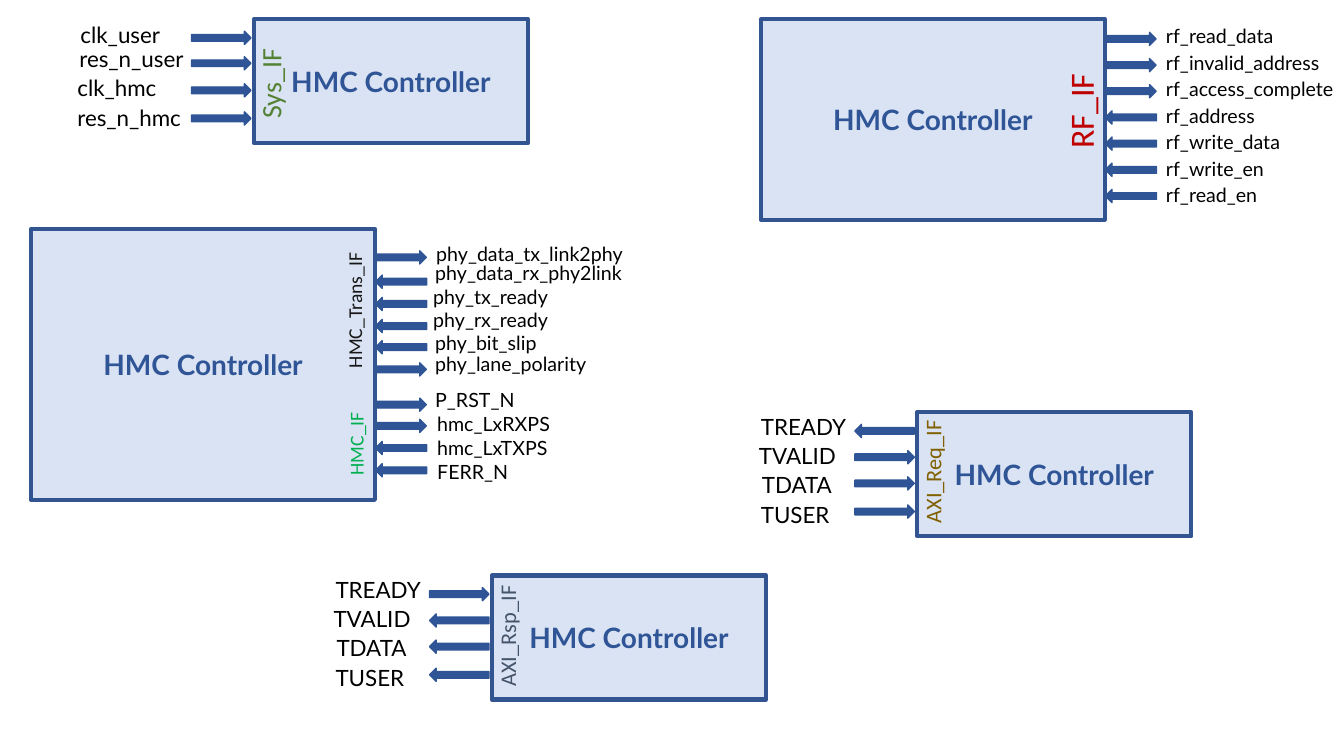
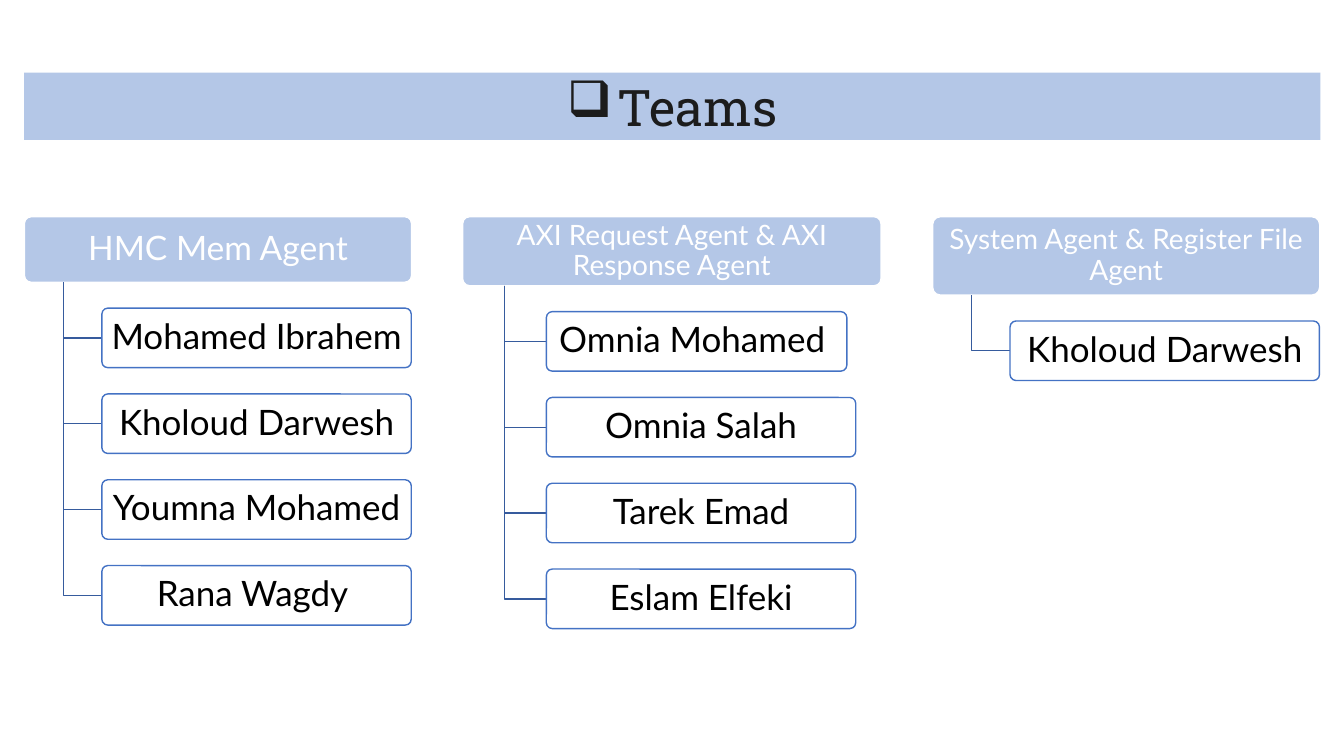
"""Build two slides: the controller interfaces and the verification teams."""
from dataclasses import dataclass
from typing import NamedTuple

import lxml.etree
import pptx
import pptx.dml.color
import pptx.enum.shapes
import pptx.enum.text
import pptx.oxml.ns
import pptx.shapes.autoshape
import pptx.slide
import pptx.text.text
import pptx.util

Pt = pptx.util.Pt
RGBColor = pptx.dml.color.RGBColor
Shapes = pptx.enum.shapes.MSO_SHAPE
Align = pptx.enum.text.PP_ALIGN
Anchor = pptx.enum.text.MSO_ANCHOR

BLACK = RGBColor(0x00, 0x00, 0x00)
WHITE = RGBColor(0xFF, 0xFF, 0xFF)
INK = RGBColor(0x1C, 0x1C, 0x1C)
DEEP_BLUE = RGBColor(0x2F, 0x55, 0x97)
BORDER_BLUE = RGBColor(0x32, 0x54, 0x91)
BRANCH_BLUE = RGBColor(0x36, 0x5B, 0x9D)
ACCENT_BLUE = RGBColor(0x44, 0x72, 0xC4)
BAND_BLUE = RGBColor(0xB4, 0xC7, 0xE7)
PALE_BLUE = RGBColor(0xDA, 0xE3, 0xF3)
GREEN = RGBColor(0x54, 0x82, 0x35)
BRIGHT_GREEN = RGBColor(0x00, 0xB0, 0x50)
RED = RGBColor(0xC0, 0x00, 0x00)
CHARCOAL = RGBColor(0x18, 0x17, 0x17)
OLIVE = RGBColor(0x80, 0x60, 0x00)
SLATE = RGBColor(0x44, 0x54, 0x6A)

BODY_FONT, INTERFACE_FONT, TITLE_FONT = "Lato", "Calibri", "Roboto Slab"
ARROW_HEIGHT = 9.4
ARROW_LENGTH = 42.5
INPUT_LENGTH = 36.5
TEAM_TOP = 154.8
MEMBER_GAP, MEMBER_PITCH = 18.5, 61.3
MEMBER_WIDTH, MEMBER_HEIGHT = 221, 42.5


class Box(NamedTuple):
    """A rectangle in points."""
    left: float
    top: float
    width: float
    height: float


class Signal(NamedTuple):
    """A signal, placed from the top of the pin edge of its block."""
    name: str
    is_output: bool
    arrow_top: float
    label_left: float
    label_top: float


class Interface(NamedTuple):
    """A rotated interface name, placed from the top of the pin edge."""
    name: str
    box: Box
    size: float
    color: RGBColor


@dataclass(frozen=True)
class Block:
    """A controller block with its pins on one side."""
    box: Box
    pins_on_right: bool
    label_size: float
    label_width: float
    interfaces: list[Interface]
    signals: list[Signal]


class Member(NamedTuple):
    """A team member and the width of the box."""
    name: str
    width: float = MEMBER_WIDTH


@dataclass(frozen=True)
class Team:
    """A team heading with its members."""
    name: str
    left: float
    width: float
    height: float
    size: float
    members: list[Member]


def axi_block(left: float, top: float, name: str, color: RGBColor, ready_is_output: bool) -> Block:
    """Describe an AXI stream block; TREADY runs against the other signals."""
    other = not ready_is_output
    return Block(
        Box(left, top, 195.8, 88.6), False, 16, 90,
        [Interface(name, Box(-41.8, 20.2, 105.8, 26.6), 16, color)],
        [Signal("TREADY", ready_is_output, 8.6, -118.8, -2.9),
         Signal("TVALID", other, 27.4, -120.2, 17.6),
         Signal("TDATA", other, 46.1, -118.1, 38.2),
         Signal("TUSER", other, 66.2, -118.8, 59.8)])


RF_SIGNALS = [("rf_read_data", True), ("rf_invalid_address", True),
              ("rf_access_complete", True), ("rf_address", False),
              ("rf_write_data", False), ("rf_write_en", False), ("rf_read_en", False)]

BLOCKS = [
    Block(Box(543.6, 13.7, 245.5, 143.3), True, 14, 130,
          [Interface("RF_IF", Box(-56.2, 41.8, 78.5, 37.4), 24.3, RED)],
          [Signal(name, is_output, 9.4 + 18.7 * row, 36.7, 18.9 * row)
           for row, (name, is_output) in enumerate(RF_SIGNALS)]),
    Block(Box(181.4, 13.7, 195.8, 88.6), False, 16, 90,
          [Interface("Sys_IF", Box(-27.4, 23, 78.5, 31.7), 20, GREEN)],
          [Signal("clk_user", False, 8.6, -131, -2.2),
           Signal("res_n_user", False, 26.8, -131.8, 15.1),
           Signal("clk_hmc", False, 46.1, -133.2, 36),
           Signal("res_n_hmc", False, 66.2, -133.2, 56.9)]),
    Block(Box(22.3, 163.4, 245.5, 193.7), True, 14, 150,
          [Interface("HMC_IF", Box(-48.2, 136.1, 69.8, 24.5), 14, BRIGHT_GREEN),
           Interface("HMC_Trans_IF", Box(-87.8, 20.9, 146.9, 24.5), 14, CHARCOAL)],
          [Signal("phy_data_tx_link2phy", True, 15.8, 36.7, 5.8),
           Signal("phy_data_rx_phy2link", False, 33.1, 36, 19.4),
           Signal("phy_tx_ready", False, 49, 34.6, 36.7),
           Signal("phy_rx_ready", False, 64.8, 34.6, 53.3),
           Signal("phy_bit_slip", False, 79.9, 36, 69.1),
           Signal("phy_lane_polarity", True, 95.8, 36, 84.2),
           Signal("P_RST_N", True, 121, 36, 110.2),
           Signal("hmc_LxRXPS", True, 136.1, 37.4, 127.4),
           Signal("hmc_LxTXPS", False, 151.9, 37.4, 144.7),
           Signal("FERR_N", False, 167.8, 37.4, 161.3)]),
    axi_block(655.2, 294.5, "AXI_Req_IF", OLIVE, True),
    axi_block(351.4, 411.1, "AXI_Rsp_IF", SLATE, False),
]

TEAMS = [
    Team("HMC Mem Agent", 17.5, 276.5, 46.8, 24,
         [Member("Mohamed Ibrahem"), Member("Kholoud Darwesh"),
          Member("Youmna Mohamed "), Member("Rana Wagdy ")]),
    Team("AXI Request Agent & AXI Response Agent", 330.5, 298.8, 49.3, 20,
         [Member("Omnia Mohamed ", 214.6), Member("Omnia Salah"),
          Member("Tarek Emad"), Member("Eslam Elfeki")]),
    Team("System Agent & Register File Agent", 666.2, 276.5, 56, 20,
         [Member("Kholoud Darwesh")]),
]


def points(*values: float) -> list[pptx.util.Length]:
    """Turn numbers into point lengths."""
    return [Pt(value) for value in values]


def set_margins(frame: pptx.text.text.TextFrame, side: float, end: float) -> None:
    """Set equal side margins and equal top and bottom margins."""
    frame.margin_left = frame.margin_right = Pt(side)
    frame.margin_top = frame.margin_bottom = Pt(end)


def write(frame: pptx.text.text.TextFrame, text: str, size: float, color: RGBColor,
          font: str = BODY_FONT, align: Align = Align.CENTER,
          bold: bool = False) -> pptx.text.text._Paragraph:
    """Write one formatted run in the first paragraph and return the paragraph."""
    frame.word_wrap = True
    paragraph = frame.paragraphs[0]
    paragraph.alignment = align
    run = paragraph.add_run()
    run.text = text
    run.font.size = Pt(size)
    run.font.name = font
    run.font.bold = bold
    run.font.color.rgb = color
    return paragraph


def add_filled_shape(slide: pptx.slide.Slide, kind: Shapes, box: Box, fill: RGBColor,
                     line: RGBColor, line_width: float = 1) -> pptx.shapes.autoshape.Shape:
    """Add a flat preset shape."""
    shape = slide.shapes.add_shape(kind, *points(*box))
    shape.shadow.inherit = False
    shape.fill.solid()
    shape.fill.fore_color.rgb = fill
    shape.line.color.rgb = line
    shape.line.width = Pt(line_width)
    return shape


def add_label(slide: pptx.slide.Slide, box: Box, text: str, size: float, color: RGBColor,
              font: str = BODY_FONT) -> pptx.shapes.autoshape.Shape:
    """Add a left-aligned text box."""
    label = slide.shapes.add_textbox(*points(*box))
    label.text_frame.margin_right = 0
    write(label.text_frame, text, size, color, font, Align.LEFT)
    return label


def add_block(slide: pptx.slide.Slide, block: Block) -> None:
    """Draw a controller block with its arrows, signal names and interfaces."""
    box = block.box
    edge = box.left + box.width if block.pins_on_right else box.left
    for signal in block.signals:
        left, length = edge - 44.6, ARROW_LENGTH
        if block.pins_on_right:
            left = edge - 5.8 if signal.is_output else edge + 0.5
            length = ARROW_LENGTH if signal.is_output else INPUT_LENGTH
        arrow = add_filled_shape(
            slide, Shapes.RIGHT_ARROW,
            Box(left, box.top + signal.arrow_top, length, ARROW_HEIGHT), DEEP_BLUE, DEEP_BLUE)
        if signal.is_output != block.pins_on_right:
            arrow.rotation = 180
        add_label(slide, Box(edge + signal.label_left, box.top + signal.label_top,
                             block.label_width, block.label_size * 1.2 + 7.4),
                  signal.name, block.label_size, BLACK)
    body = add_filled_shape(slide, Shapes.RECTANGLE, box, PALE_BLUE, BORDER_BLUE, 3)
    body.text_frame.vertical_anchor = Anchor.MIDDLE
    write(body.text_frame, "HMC Controller", 20, DEEP_BLUE, bold=True)
    for name, place, size, color in block.interfaces:
        place = place._replace(left=edge + place.left, top=box.top + place.top)
        add_label(slide, place, name, size, color, INTERFACE_FONT).rotation = 270


def add_card(slide: pptx.slide.Slide, box: Box, text: str, size: float, color: RGBColor,
             fill: RGBColor, line: RGBColor) -> None:
    """Add a rounded box with centred text."""
    card = add_filled_shape(slide, Shapes.ROUNDED_RECTANGLE, box, fill, line)
    card.adjustments[0] = 0.1
    set_margins(card.text_frame, 3.6, 2.2)
    card.text_frame.vertical_anchor = Anchor.MIDDLE
    write(card.text_frame, text, size, color).line_spacing = 0.9


def add_branch(slide: pptx.slide.Slide, left: float, top: float, right: float,
               bottom: float) -> None:
    """Draw an elbow line down from a heading and across to a member."""
    start, corner, end = (points(left, top), points(left, bottom), points(right, bottom))
    builder = slide.shapes.build_freeform(*start)
    builder.add_line_segments([corner, end], close=False)
    branch = builder.convert_to_shape()
    branch.shadow.inherit = False
    branch.fill.background()
    branch.line.color.rgb = BRANCH_BLUE
    branch.line.width = Pt(1)


def add_team(slide: pptx.slide.Slide, team: Team) -> None:
    """Draw a team heading and the member boxes hanging from it."""
    add_card(slide, Box(team.left, TEAM_TOP, team.width, team.height), team.name,
             team.size, WHITE, BAND_BLUE, WHITE)
    bottom = TEAM_TOP + team.height
    trunk, member_left = team.left + team.width * 0.1, team.left + team.width * 0.2
    for row, member in enumerate(team.members):
        top = bottom + MEMBER_GAP + MEMBER_PITCH * row
        add_branch(slide, trunk, bottom, member_left, top + MEMBER_HEIGHT / 2)
        add_card(slide, Box(member_left, top, member.width, MEMBER_HEIGHT), member.name,
                 25, BLACK, WHITE, ACCENT_BLUE)


def format_title(slide: pptx.slide.Slide, text: str) -> None:
    """Turn the title placeholder into a coloured band with a bulleted title."""
    title = slide.shapes.title
    title.left, title.top, title.width, title.height = points(17.3, 51.8, 925.9, 48.2)
    title.fill.solid()
    title.fill.fore_color.rgb = BAND_BLUE
    frame = title.text_frame
    frame.auto_size = pptx.enum.text.MSO_AUTO_SIZE.NONE
    frame.vertical_anchor = Anchor.TOP
    set_margins(frame, 5, 2.2)
    paragraph = write(frame, text, 36, INK, TITLE_FONT)
    properties = paragraph._p.get_or_add_pPr()
    properties.set("marL", str(Pt(36)))
    properties.set("indent", str(-Pt(36)))
    lxml.etree.SubElement(properties, pptx.oxml.ns.qn("a:buChar"), char="❑")


def main() -> None:
    """Build and save the presentation."""
    presentation = pptx.Presentation()
    presentation.slide_width, presentation.slide_height = points(960, 540)
    title_only, blank = presentation.slide_layouts[5], presentation.slide_layouts[6]
    interfaces_slide = presentation.slides.add_slide(blank)
    for block in BLOCKS:
        add_block(interfaces_slide, block)
    teams_slide = presentation.slides.add_slide(title_only)
    format_title(teams_slide, "Teams")
    for team in TEAMS:
        add_team(teams_slide, team)
    presentation.save("out.pptx")


main()
